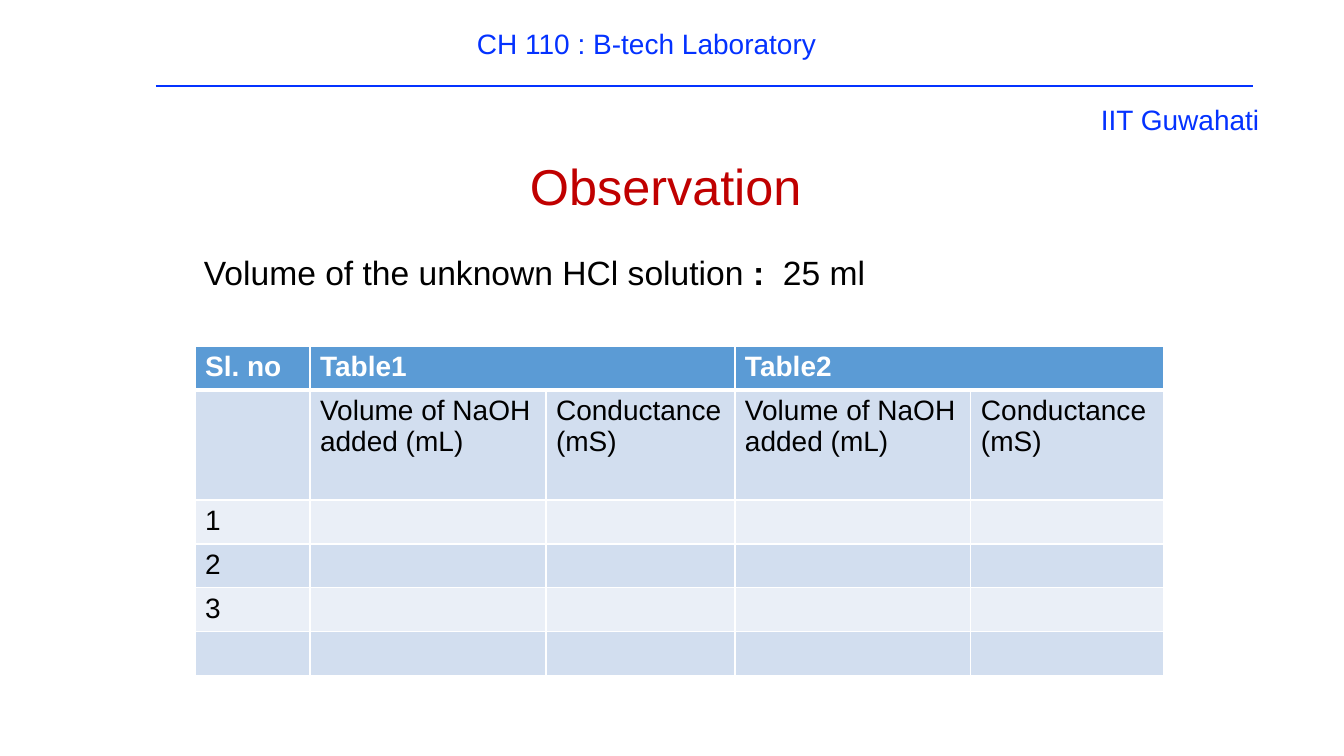
from pptx import Presentation
from pptx import util as u
from pptx.dml.color import RGBColor
from pptx.enum import shapes
from pptx.oxml import parse_xml
from pptx.oxml.ns import nsdecls

BLUE, RED, BLACK, WHITE = "0432FF", "C00000", "000000", "FFFFFF"
HEADER_FILL, BAND_FILLS = "5B9BD5", ("D2DEEF", "EAEFF7")

# left, top, width, height, size, colour, [(words, bold)]
LABELS = [
    (467, 22, 362, 44, 20, BLUE, [("CH 110 : B-tech Laboratory", False)]),
    (1091, 98, 180, 44, 20, BLUE, [("IIT Guwahati", False)]),
    (520, 150, 294, 72, 36, RED, [("Observation", False)]),
    (194, 247, 688, 50, 24, BLACK,
     [("Volume of the unknown HCl solution", False), (" :", True), ("  25 ml", False)]),
]
RULE = (156, 86, 1253, 86)

VOLUME, CONDUCTANCE = "Volume of NaOH added (mL)", "Conductance\n(mS)"
ROWS = [
    ["Sl. no", "Table1", "", "Table2", ""],
    ["", VOLUME, CONDUCTANCE, VOLUME, CONDUCTANCE],
    ["1", "", "", "", ""],
    ["2", "", "", "", ""],
    ["3", "", "", "", ""],
    ["", "", "", "", ""],
]
TABLE_LEFT, TABLE_TOP = 195, 346
COLUMN_WIDTHS = [115, 236, 189, 236, 193]
ROW_HEIGHTS = [44, 110, 44, 44, 44, 44]
MERGED_STARTS = (1, 3)


def px(length):
    return u.Emu(round(length * 914400 / 100.8))


def colour(value):
    return RGBColor.from_string(value)


def add_span(para, words, size, value, bold):
    span = para.add_run()
    span.text = words
    span.font.name = "Arial"
    span.font.size = u.Pt(size)
    span.font.bold = bold
    span.font.color.rgb = colour(value)


def add_label(page, left, top, width, height, size, value, spans):
    box = page.shapes.add_textbox(px(left), px(top), px(width), px(height))
    box.text_frame.word_wrap = False
    for words, bold in spans:
        add_span(box.text_frame.paragraphs[0], words, size, value, bold)


def add_rule(page):
    rule = page.shapes.add_connector(shapes.MSO_CONNECTOR.STRAIGHT, *map(px, RULE))
    rule.line.color.rgb = colour(BLUE)
    rule.line.width = u.Pt(2)
    rule._element.spPr.append(parse_xml(f"<a:effectLst {nsdecls('a')}/>"))


def set_borders(cell, top, bottom):
    """Draw white borders, 1 pt at the sides and the given points above and below."""
    sides = [("L", 1), ("R", 1), ("T", top), ("B", bottom)]
    for place, (side, points) in enumerate(sides):
        cell._tc.get_or_add_tcPr().insert(place, parse_xml(
            f'<a:ln{side} {nsdecls("a")} w="{u.Pt(points)}"><a:solidFill>'
            f'<a:srgbClr val="{WHITE}"/></a:solidFill></a:ln{side}>'))


def fill_cell(cell, words, row):
    header = row == 0
    cell.fill.solid()
    cell.fill.fore_color.rgb = colour(HEADER_FILL if header else BAND_FILLS[(row - 1) % 2])
    set_borders(cell, 3 if row == 1 else 1, 3 if header else 1)
    frame = cell.text_frame
    for number, line in enumerate(words.split("\n") if words else []):
        para = frame.add_paragraph() if number else frame.paragraphs[0]
        add_span(para, line, 20, WHITE if header else BLACK, header)


def add_observations(page):
    table = page.shapes.add_table(
        len(ROWS), len(COLUMN_WIDTHS), px(TABLE_LEFT), px(TABLE_TOP),
        px(sum(COLUMN_WIDTHS)), px(sum(ROW_HEIGHTS))).table
    for column, width in zip(table.columns, COLUMN_WIDTHS):
        column.width = px(width)
    for row, height in zip(table.rows, ROW_HEIGHTS):
        row.height = px(height)
    for start in MERGED_STARTS:
        table.cell(0, start).merge(table.cell(0, start + 1))
    for row, values in enumerate(ROWS):
        for column, words in enumerate(values):
            fill_cell(table.cell(row, column), words, row)


def main():
    deck = Presentation()
    deck.slide_width, deck.slide_height = px(1344), px(756)
    page = deck.slides.add_slide(deck.slide_layouts[6])
    for label in LABELS:
        add_label(page, *label)
    add_rule(page)
    add_observations(page)
    deck.save("out.pptx")


if __name__ == "__main__":
    main()
